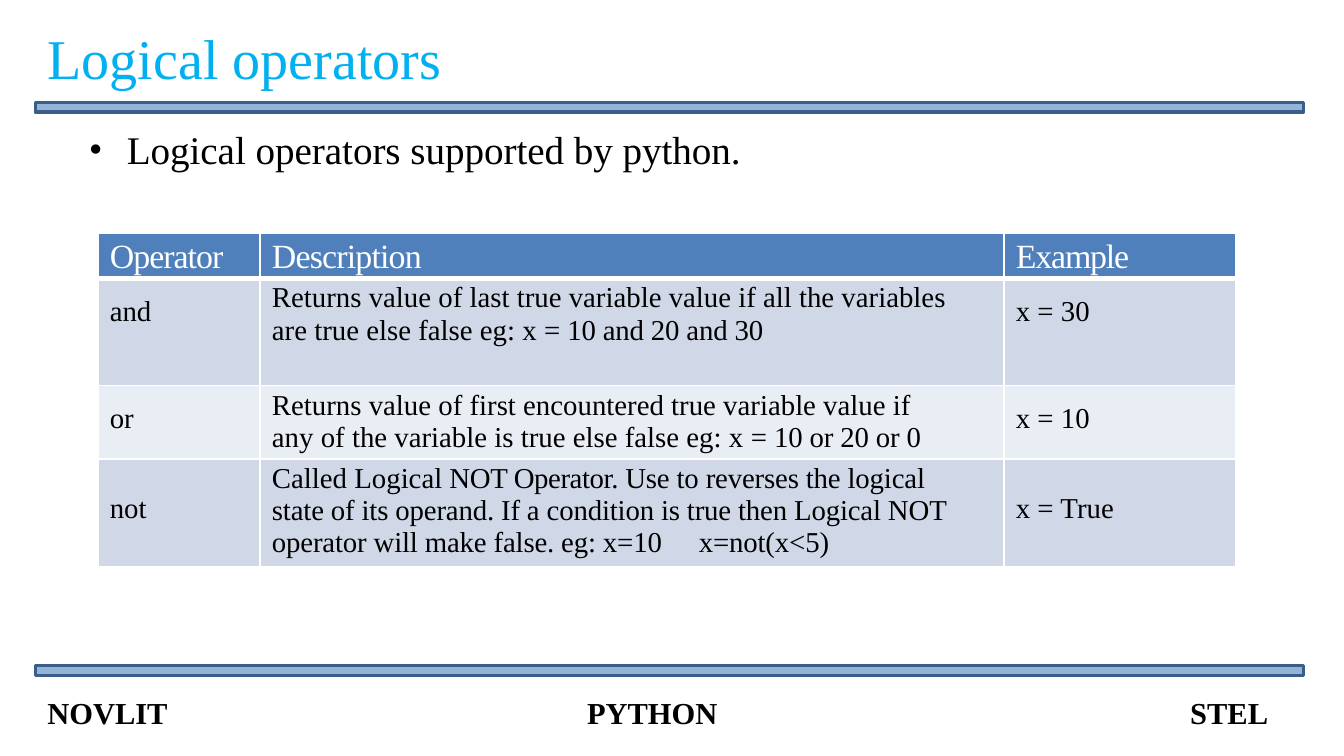
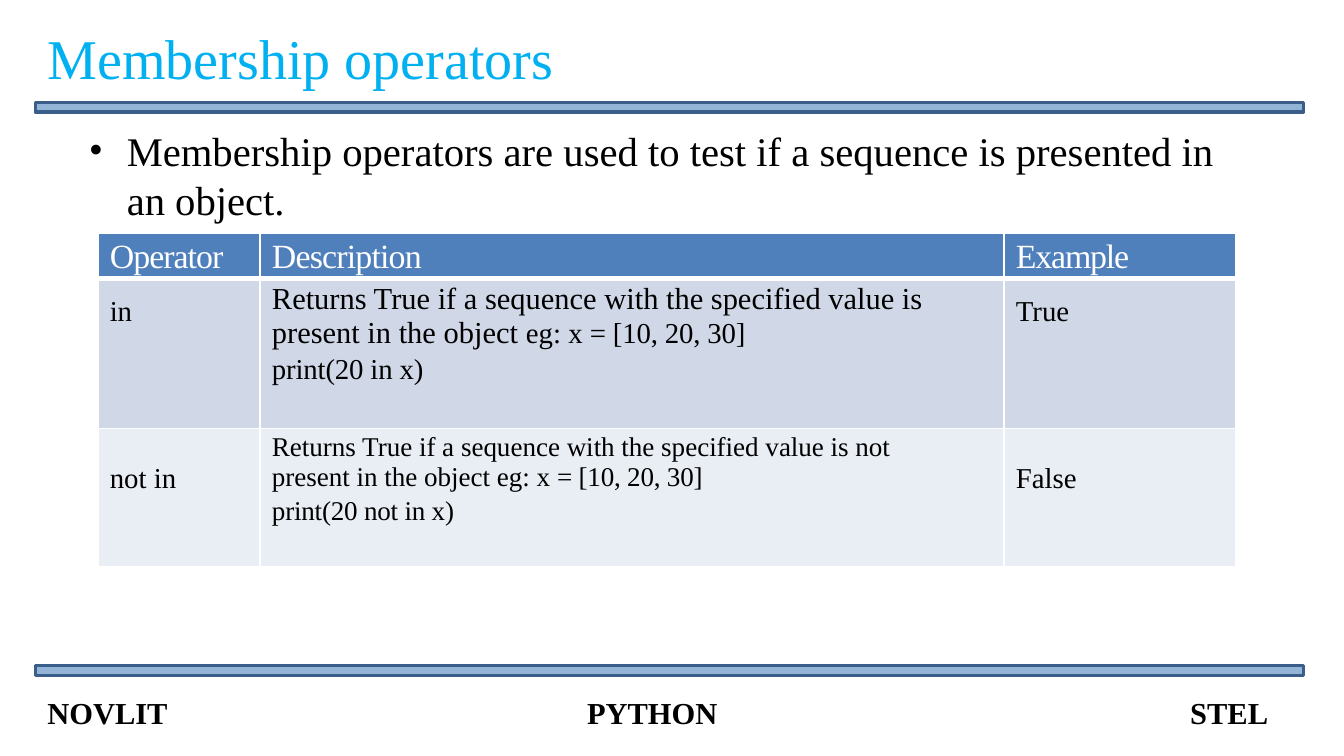
from dataclasses import dataclass
from typing import Any

from lxml.etree import SubElement
from pptx import Presentation
from pptx.dml.color import RGBColor
from pptx.enum.shapes import MSO_SHAPE as Preset
from pptx.enum.text import MSO_ANCHOR as Anchor, PP_ALIGN as Align
from pptx.oxml.ns import qn
from pptx.util import Emu, Inches, Pt

FONT = "Times New Roman"
BLACK, WHITE, SKY = "000000", "FFFFFF", "00B0F0"
BAND_FILL, BAND_LINE = "93B3D7", "395E89"
HEADER_FILL, STRIPES = "4F80BC", ("D0D8E8", "E9EDF4")
EDGE, FULL = 2.63, 94.37
BAND_TOPS, BAND_HEIGHT = (13.55, 88.06), 1.29
TABLE_LEFT, TABLE_TOP = 7.26, 30.81
COLUMNS = (12.07, 55.35, 17.33)
HEADER_HEIGHT = 5.81
FOOTER = "NOVLIT\tPYTHON\tSTEL"
FOOTER_TABS = ((4.96, "ctr"), (10.01, "r"))

deck = Presentation()
deck.slide_width, deck.slide_height = Inches(11.02), Inches(6.2)


@dataclass
class Span:
    text: str
    size: float = 17
    spacing: float = 0


@dataclass
class Operator:
    height: float
    inset: float
    name: str
    description: list[list[Span]]
    example: str


@dataclass
class Topic:
    title: str
    title_width: float
    point: Span
    point_height: float
    operators: list[Operator]


def across(share: float) -> Emu:
    return Emu(round(deck.slide_width * share / 100))


def down(share: float) -> Emu:
    return Emu(round(deck.slide_height * share / 100))


def area(left: float, top: float, width: float, height: float) -> tuple[Emu, ...]:
    return across(left), down(top), across(width), down(height)


def colour(value: str) -> RGBColor:
    return RGBColor.from_string(value)


def assign(target: Any, **values: Any) -> None:
    for name, value in values.items():
        setattr(target, name, value)


def paint(fill: Any, value: str) -> None:
    fill.solid()
    fill.fore_color.rgb = colour(value)


def margins(target: Any, left: float, top: float, right: float, bottom: float) -> None:
    sides = dict(left=left, top=top, right=right, bottom=bottom)
    assign(target, **{f"margin_{side}": Inches(size) for side, size in sides.items()})


def write(para: Any, spans: list[Span], ink: str = BLACK, bold: bool = False) -> None:
    para.alignment = Align.LEFT
    for span in spans:
        run = para.add_run()
        run.text = span.text
        assign(run.font, name=FONT, size=Pt(span.size), bold=bold)
        run.font.color.rgb = colour(ink)
        if span.spacing:
            run.font._element.set("spc", str(round(span.spacing * 100)))


def add_bands(page: Any) -> None:
    for top in BAND_TOPS:
        band = page.shapes.add_shape(Preset.RECTANGLE, *area(EDGE, top, FULL, BAND_HEIGHT))
        band.shadow.inherit = False
        paint(band.fill, BAND_FILL)
        paint(band.line.fill, BAND_LINE)
        band.line.width = Pt(2)


def add_title(page: Any, text: str, width: float) -> None:
    title = page.shapes.title
    left, top, wide, high = area(EDGE, 2.26, width, 10.65)
    assign(title, left=left, top=top, width=wide, height=high)
    assign(title.text_frame, word_wrap=False, vertical_anchor=Anchor.TOP)
    write(title.text_frame.paragraphs[0], [Span(text, 33.1)], SKY)


def add_point(page: Any, point: Span, height: float) -> None:
    frame = page.shapes.add_textbox(*area(6.53, 16.45, 86.48, height)).text_frame
    frame.word_wrap = True
    margins(frame, 0, 0.01, 0, 0)
    para = frame.paragraphs[0]
    para.space_before = Pt(0.8)
    write(para, [point])
    props = para._p.get_or_add_pPr()
    props.set("marL", str(Inches(0.32)))
    props.set("indent", str(Inches(-0.31)))
    SubElement(props, qn("a:buFont"), typeface=FONT)
    SubElement(props, qn("a:buChar"), char="•")


def add_footer(page: Any) -> None:
    frame = page.shapes.add_textbox(*area(EDGE, 90.97, FULL, 6.13)).text_frame
    frame.word_wrap = True
    margins(frame, 0.1, 0.05, 0.1, 0.05)
    para = frame.paragraphs[0]
    write(para, [Span(FOOTER, 18)], bold=True)
    tabs = SubElement(para._p.get_or_add_pPr(), qn("a:tabLst"))
    for position, side in FOOTER_TABS:
        SubElement(tabs, qn("a:tab"), pos=str(Inches(position)), algn=side)


def add_borders(cell: Any, top: float, bottom: float) -> None:
    props = cell._tc.get_or_add_tcPr()
    for side, width in dict(lnL=1.5, lnR=1.5, lnT=top, lnB=bottom).items():
        line = SubElement(props, qn(f"a:{side}"), w=str(Pt(width)))
        SubElement(SubElement(line, qn("a:solidFill")), qn("a:srgbClr"), val=WHITE)


def fill_cell(cell: Any, lines: list[list[Span]], inset: float, right: float,
              ink: str, back: str, edges: tuple[float, float]) -> None:
    margins(cell, 0.1, inset, right, 0)
    add_borders(cell, *edges)
    paint(cell.fill, back)
    for index, spans in enumerate(lines):
        para = cell.text_frame.add_paragraph() if index else cell.text_frame.paragraphs[0]
        para.space_before = Pt(2.6 if index else 0)
        write(para, spans, ink)


def add_operators(page: Any, operators: list[Operator]) -> None:
    heights = [HEADER_HEIGHT] + [operator.height for operator in operators]
    place = area(TABLE_LEFT, TABLE_TOP, sum(COLUMNS), sum(heights))
    table = page.shapes.add_table(len(heights), len(COLUMNS), *place).table
    assign(table, first_row=False, horz_banding=False)
    for column, width in zip(table.columns, COLUMNS):
        column.width = across(width)
    for row, height in zip(table.rows, heights):
        row.height = down(height)
    headers = (Span("Operator", 20, -0.6), Span("Description", 20, -0.5),
               Span("Example", 20, -0.7))
    for index, header in enumerate(headers):
        fill_cell(table.cell(0, index), [[header]], 0.04, 0, WHITE, HEADER_FILL, (1.5, 3))
    for number, operator in enumerate(operators, 1):
        entries = (
            ([[Span(operator.name)]], operator.inset, 0),
            (operator.description, 0.03, 0.43),
            ([[Span(operator.example)]], operator.inset, 0),
        )
        back = STRIPES[(number - 1) % len(STRIPES)]
        edges = (3 if number == 1 else 1, 1)
        for index, (lines, inset, right) in enumerate(entries):
            fill_cell(table.cell(number, index), lines, inset, right, BLACK, back, edges)


def add_topic(topic: Topic) -> None:
    page = deck.slides.add_slide(deck.slide_layouts.get_by_name("Title Only"))
    add_bands(page)
    add_title(page, topic.title, topic.title_width)
    add_point(page, topic.point, topic.point_height)
    add_operators(page, topic.operators)
    add_footer(page)


TOPICS = (
    Topic(
        "Logical operators", 31.4,
        Span("Logical operators supported by python.", 23.1, -0.05), 6.45,
        [
            Operator(14.19, 0.14, "and", [[
                Span("Returns value of last true variable value if all the variables "
                     "are true else false eg: x"),
                Span(" = 10 and 20 and 30", spacing=-0.1)]], "x = 30"),
            Operator(9.68, 0.14, "or", [[
                Span("Returns value of first encountered true variable value if "
                     "any of the variable is true else false eg: x"),
                Span(" = 10 or 20 or 0", spacing=-0.1)]], "x = 10"),
            Operator(14.19, 0.28, "not", [[
                Span("Called Logical"),
                Span(" NOT Operator. ", spacing=-0.25),
                Span("Use to reverses the logical state of its operand. If a condition "
                     "is true then Logical NOT operator will make false. "
                     "eg: x=10\tx=not(x<5)", spacing=-0.1)]], "x = True"),
        ],
    ),
    Topic(
        "Membership operators", 39.75,
        Span("Membership operators are used to test if a sequence is presented in "
             "an object.", 24), 13.23,
        [
            Operator(19.84, 0.14, "in", [
                [Span("Returns True if a sequence with the specified value is "
                      "present in the object ", 18),
                 Span("eg: x"),
                 Span(" = [10, 20, 30]", spacing=-0.1)],
                [Span("print(20 in x)", spacing=-0.1)]], "True"),
            Operator(18.23, 0.28, "not in", [
                [Span("Returns True if a sequence with the specified value is not "
                      "present in the object eg: x", 16),
                 Span(" = [10, 20, 30]", 16, -0.1)],
                [Span("print(20 not in x)", 16, -0.1)]], "False"),
        ],
    ),
)

for topic in TOPICS:
    add_topic(topic)
deck.save("out.pptx")
